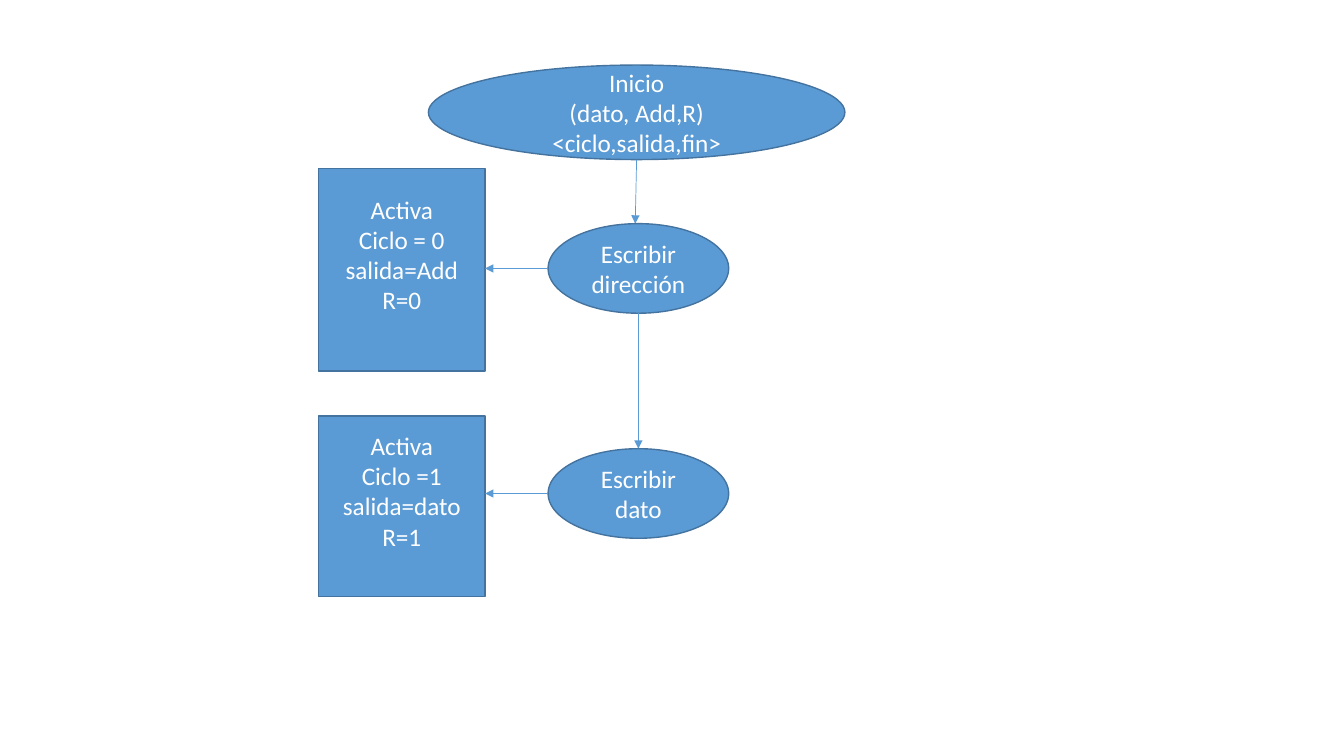
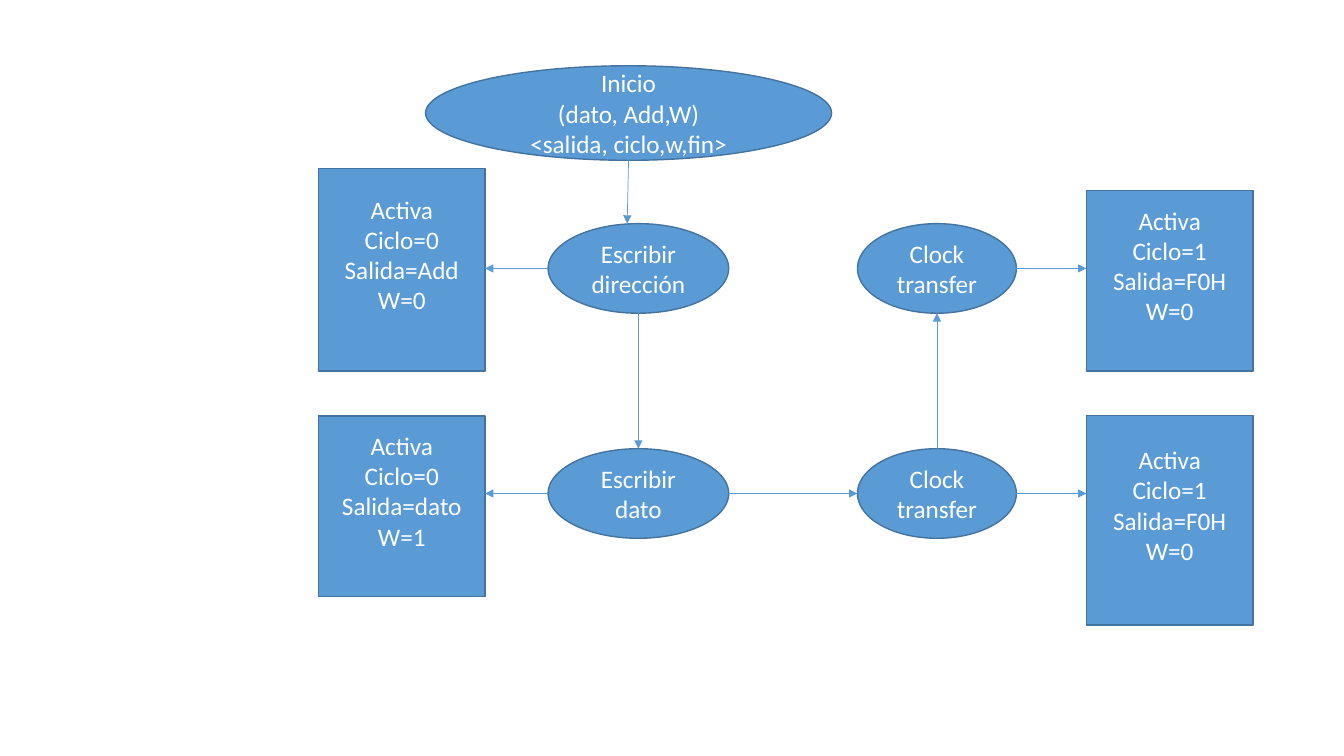
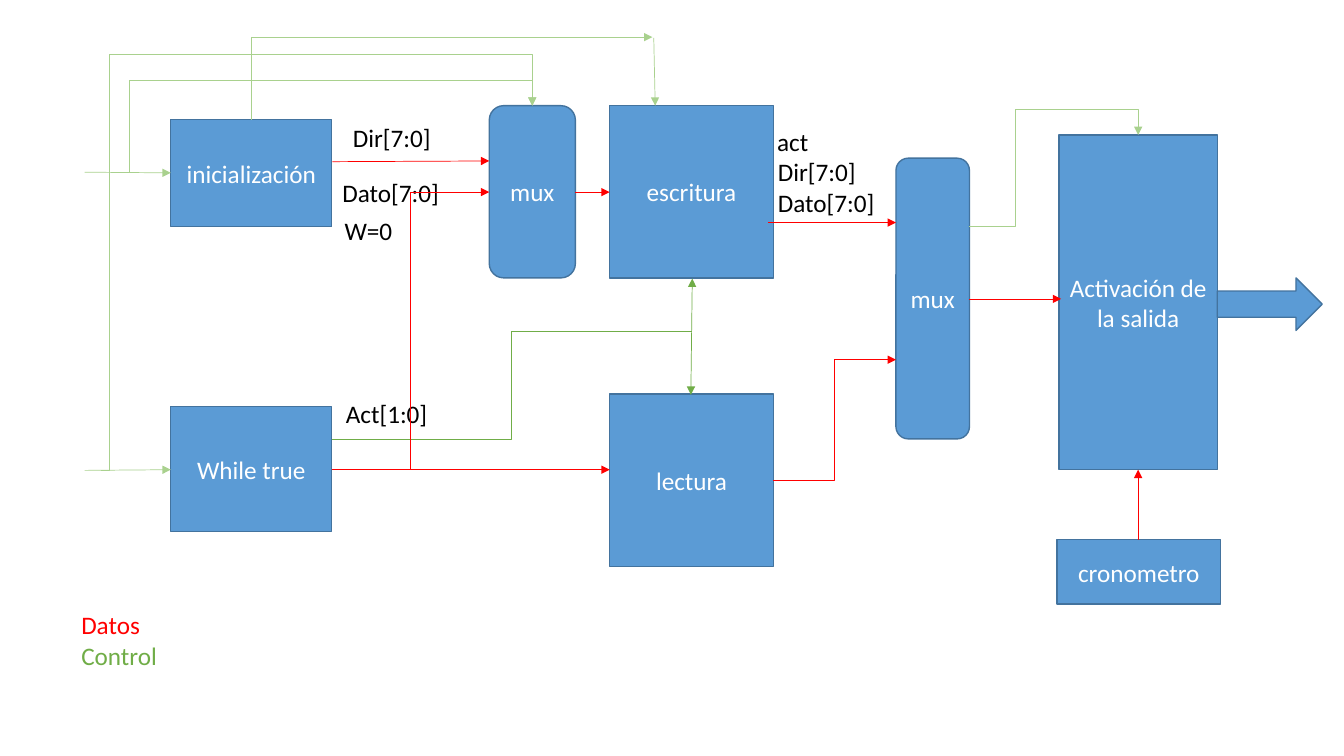
from lxml.etree import SubElement
from pptx import Presentation
from pptx.dml.color import RGBColor
from pptx.enum.shapes import MSO_CONNECTOR as LINK, MSO_SHAPE as SHAPE
from pptx.enum.text import MSO_ANCHOR, MSO_AUTO_SIZE, PP_ALIGN
from pptx.oxml.ns import qn
from pptx.util import Pt

BLUE = RGBColor(0x5B, 0x9B, 0xD5)
DARK_BLUE = RGBColor(0x43, 0x73, 0x9E)
WHITE = RGBColor(0xFF, 0xFF, 0xFF)
BLACK = RGBColor(0x00, 0x00, 0x00)
RED = RGBColor(0xFF, 0x00, 0x00)
GREEN = RGBColor(0x70, 0xAD, 0x47)
LIGHT_GREEN = RGBColor(0xA9, 0xD1, 0x8E)
FONT, TEXT_SIZE = "Calibri", Pt(18)


def add_node(page, kind, bounds, text="", bottom_inset=3.6):
    """Add a blue shape with centred white text; bounds are left, top, width, height."""
    node = page.shapes.add_shape(kind, *map(Pt, bounds))
    node.shadow.inherit = False
    node.fill.solid()
    node.fill.fore_color.rgb = BLUE
    node.line.color.rgb = DARK_BLUE
    node.line.width = Pt(1)
    frame = node.text_frame
    frame.word_wrap = True
    frame.vertical_anchor = MSO_ANCHOR.MIDDLE
    frame.margin_bottom = Pt(bottom_inset)
    frame.text = text
    for para in frame.paragraphs:
        para.alignment = PP_ALIGN.CENTER
        para.font.name, para.font.size = FONT, TEXT_SIZE
        para.font.color.rgb = WHITE


def add_arrow(page, points, color=BLUE, ends=("tailEnd",), preset="line", bends=()):
    """Connect two points (x1, y1, x2, y2); bends are the fractions where an elbow turns."""
    kind = LINK.STRAIGHT if preset == "line" else LINK.ELBOW
    arrow = page.shapes.add_connector(kind, *map(Pt, points))
    arrow.line.color.rgb = color
    arrow.line.width = Pt(0.5)
    properties = arrow.element.spPr
    for end in ends:
        SubElement(properties.get_or_add_ln(), qn(f"a:{end}"), type="triangle")
    SubElement(properties, qn("a:effectLst"))
    geometry = properties.find(qn("a:prstGeom"))
    geometry.set("prst", preset)
    for number, bend in enumerate(bends, 1):
        SubElement(geometry.find(qn("a:avLst")), qn("a:gd"),
                   name=f"adj{number}", fmla=f"val {round(bend * 100000)}")


deck = Presentation()
deck.slide_width, deck.slide_height = Pt(960), Pt(540)
blank = deck.slide_layouts[6]

# Slides 1 and 2: read and write cycles
STATE_LEFT, STATE_WIDTH, STATE_HEIGHT = 391.5, 129, 64
CLOCK_LEFT, CLOCK_WIDTH = 612.5, 113.5
OUTPUT_WIDTH, LEFT_OUTPUT, RIGHT_OUTPUT = 119, 227.5, 776
ROW_TOPS = (159.75, 320.5)
ROW_MIDDLES = [top + STATE_HEIGHT / 2 for top in ROW_TOPS]
STATES = ("Escribir dirección", "Escribir dato")
LEFT_BOUNDS = ((120.5, 144.5), (297, 129))
RIGHT_BOUNDS = ((136, 129), (297, 149.5))
EMPTY_LINE = 22

cycles = [
    ((306, 46.5, 297.5, 67.5), "Inicio\n(dato, Add,R)\n<ciclo,salida,fin>",
     ("Activa\nCiclo = 0\nsalida=Add\nR=0", "Activa\nCiclo =1\nsalida=dato\nR=1")),
    ((304, 47, 290, 67.5), "Inicio\n(dato, Add,W)\n<salida, ciclo,w,fin>",
     ("Activa\nCiclo=0\nSalida=Add\nW=0", "Activa\nCiclo=0\nSalida=dato\nW=1")),
]
for start_bounds, start_text, outputs in cycles:
    page = deck.slides.add_slide(blank)
    add_node(page, SHAPE.OVAL, start_bounds, start_text)
    start_left, start_top, start_width, start_height = start_bounds
    start_middle = start_left + start_width / 2
    add_arrow(page, (start_middle, start_top + start_height, start_middle - 1, ROW_TOPS[0]))
    for top, middle, state, (box_top, box_height), output in zip(
            ROW_TOPS, ROW_MIDDLES, STATES, LEFT_BOUNDS, outputs):
        add_node(page, SHAPE.OVAL, (STATE_LEFT, top, STATE_WIDTH, STATE_HEIGHT), state)
        add_node(page, SHAPE.RECTANGLE, (LEFT_OUTPUT, box_top, OUTPUT_WIDTH, box_height),
                 output, 3.6 + EMPTY_LINE)
        add_arrow(page, (STATE_LEFT, middle, LEFT_OUTPUT + OUTPUT_WIDTH, middle))
    state_middle = STATE_LEFT + STATE_WIDTH / 2
    add_arrow(page, (state_middle, ROW_TOPS[0] + STATE_HEIGHT, state_middle, ROW_TOPS[1]))

# The write cycle goes on with two clock transfers
for top, middle, (box_top, box_height) in zip(ROW_TOPS, ROW_MIDDLES, RIGHT_BOUNDS):
    add_node(page, SHAPE.OVAL, (CLOCK_LEFT, top, CLOCK_WIDTH, STATE_HEIGHT), "Clock transfer")
    add_node(page, SHAPE.RECTANGLE, (RIGHT_OUTPUT, box_top, OUTPUT_WIDTH, box_height),
             "Activa\nCiclo=1\nSalida=F0H\nW=0", 3.6 + EMPTY_LINE)
    add_arrow(page, (CLOCK_LEFT + CLOCK_WIDTH, middle, RIGHT_OUTPUT, middle))
clock_middle = CLOCK_LEFT + CLOCK_WIDTH / 2
add_arrow(page, (STATE_LEFT + STATE_WIDTH, ROW_MIDDLES[1], CLOCK_LEFT, ROW_MIDDLES[1]))
add_arrow(page, (clock_middle, ROW_TOPS[1], clock_middle, ROW_TOPS[0] + STATE_HEIGHT))

# Slide 3: block diagram
page = deck.slides.add_slide(blank)
blocks = [
    (SHAPE.RECTANGLE, (122, 85.5, 115, 76.5), "inicialización"),
    (SHAPE.RECTANGLE, (122, 290.5, 115, 89), "While true"),
    (SHAPE.RECTANGLE, (435.5, 75.5, 117, 123), "escritura"),
    (SHAPE.RECTANGLE, (435.5, 281.5, 117, 123), "lectura"),
    (SHAPE.RECTANGLE, (756.5, 96.5, 113, 239), "Activación de la salida"),
    (SHAPE.RECTANGLE, (755, 385.5, 117, 46), "cronometro"),
    (SHAPE.ROUNDED_RECTANGLE, (349.5, 75.5, 61.5, 123), "mux"),
    (SHAPE.ROUNDED_RECTANGLE, (640, 113, 52.5, 200.5), "mux"),
    (SHAPE.RIGHT_ARROW, (869.5, 198.5, 75, 37.5), ""),
]
for kind, bounds, text in blocks:
    add_node(page, kind, bounds, text)

labels = [
    (245, 84, 70.5, [("Dir[7:0]", BLACK)]),
    (237.5, 123, 84, [("Dato[7:0]", BLACK)]),
    (239, 150.5, 60, [("W=0", BLACK)]),
    (240, 281, 73.5, [("Act[1:0]", BLACK)]),
    (548, 86.5, 37, [("act", BLACK)]),
    (548.5, 108, 70.5, [("Dir[7:0]", BLACK)]),
    (548.5, 130.5, 84, [("Dato[7:0]", BLACK)]),
    (51, 432, 194, [("Datos", RED), ("Control", GREEN)]),
]
for left, top, width, lines in labels:
    box = page.shapes.add_textbox(Pt(left), Pt(top), Pt(width), Pt(7 + 22 * len(lines)))
    frame = box.text_frame
    frame.word_wrap = len(lines) > 1
    frame.auto_size = MSO_AUTO_SIZE.SHAPE_TO_FIT_TEXT
    frame.text = "\n".join(text for text, color in lines)
    for para, (text, color) in zip(frame.paragraphs, lines):
        para.font.name, para.font.size = FONT, TEXT_SIZE
        para.font.color.rgb = color

straight_arrows = [
    (LIGHT_GREEN, (60.5, 123, 122, 123.5)),
    (LIGHT_GREEN, (60.5, 336, 122, 335.5)),
    (LIGHT_GREEN, (467, 27, 468, 75.5)),
    (RED, (237.5, 115.5, 349.5, 115)),
    (RED, (411, 137.25, 435.5, 137.25)),
    (RED, (548.5, 159, 640, 159)),
    (RED, (293, 335.5, 435.5, 335.5)),
    (RED, (692.5, 213.5, 758, 213.5)),
    (RED, (813, 385.5, 813, 335.5)),
]
for color, points in straight_arrows:
    add_arrow(page, points, color)
add_arrow(page, (494.5, 199, 493.5, 282), GREEN, ("headEnd", "tailEnd"))

add_arrow(page, (466, 26.5, 179.5, 85.5), LIGHT_GREEN, ("headEnd",), "bentConnector2")
add_arrow(page, (237, 313.75, 494, 236.5), GREEN, (), "bentConnector3", (0.5,))
for points in ((237, 335.5, 349.5, 137.25), (552.5, 343, 640, 257)):
    add_arrow(page, points, RED, preset="bentConnector3", bends=(0.5,))
for points, bends in (
    ((91.5, 123, 380.25, 75.5), (0.004, 1.38)),
    ((72, 336, 380.25, 75.5), (0.02, 1.14)),
    ((692.5, 161.75, 813, 96.5), (0.27, 1.28)),
):
    add_arrow(page, points, LIGHT_GREEN, preset="bentConnector4", bends=bends)

deck.save("out.pptx")
